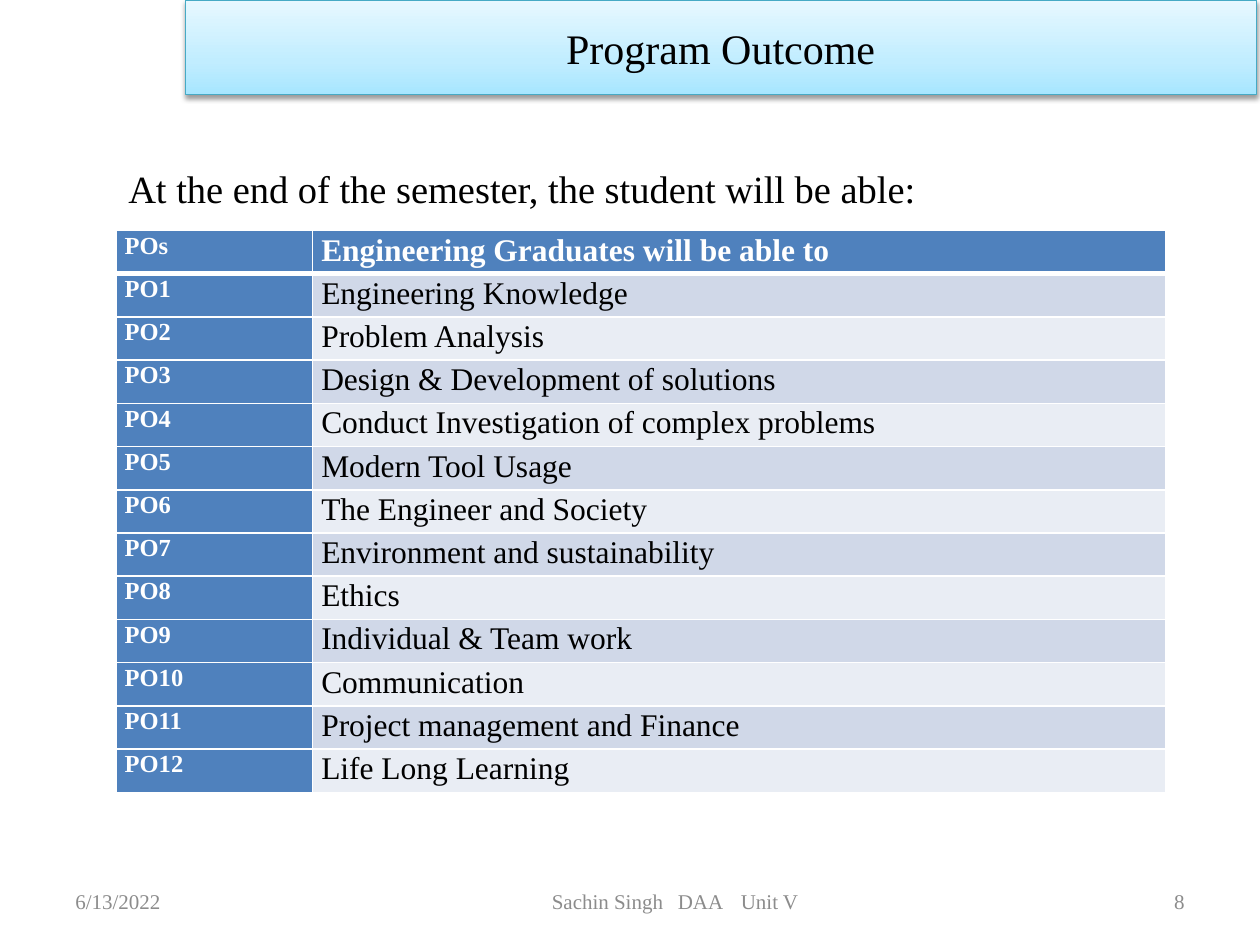
"""Build the Program Outcome slide with its table of graduate outcomes."""
from lxml import etree
from pptx import Presentation
from pptx import util as u
from pptx.dml.color import RGBColor
from pptx.enum import text
from pptx.oxml import parse_xml
from pptx.oxml.ns import nsdecls, qn

FONT = "Times New Roman"
COLORS = {
    "ink": "000000", "paper": "FFFFFF", "muted": "8C8C8C", "head": "4F81BD",
    "odd": "D0D8E8", "even": "E9EDF4", "edge": "46AAC5",
}
TITLE_STOPS = [(0, "A7E6FF"), (35, "C1EDFF"), (100, "E7F8FF")]
HEADINGS = ("POs", "Engineering Graduates will be able to")
OUTCOMES = [
    "Engineering Knowledge", "Problem Analysis", "Design & Development of solutions",
    "Conduct Investigation of complex problems", "Modern Tool Usage",
    "The Engineer and Society", "Environment and sustainability", "Ethics",
    "Individual & Team work", "Communication", "Project management and Finance",
    "Life Long Learning",
]
TABLE_WIDTHS = (1.56, 6.77)
TABLE_HEIGHT = 4.46
FOOTER_TOP, FOOTER_HEIGHT = 6.95, 0.4


def rgb(name):
    return RGBColor.from_string(COLORS[name])


def write(frame, words, size=12, color="ink", bold=False, align=None,
          spacing=None, after=None, tabs=()):
    para = frame.paragraphs[0]
    if tabs:
        props = para._p.get_or_add_pPr()
        props.set("marL", "0")
        props.set("indent", "0")
        stops = etree.SubElement(props, qn("a:tabLst"))
        for stop in tabs:
            etree.SubElement(stops, qn("a:tab"), pos=str(u.Inches(stop)), algn="l")
    if align is not None:
        para.alignment = align
    if spacing:
        para.line_spacing = spacing
    if after:
        para.space_after = u.Pt(after)
    span = para.add_run()
    span.text = words
    span.font.name = FONT
    span.font.size = u.Pt(size)
    span.font.bold = bold
    span.font.color.rgb = rgb(color)


def add_text(page, words, left, top, width, height,
             anchor=text.MSO_ANCHOR.TOP, inset=0.1, **style):
    box = page.shapes.add_textbox(*map(u.Inches, (left, top, width, height)))
    box.text_frame.word_wrap = True
    box.text_frame.vertical_anchor = anchor
    box.text_frame.margin_left = u.Inches(inset)
    write(box.text_frame, words, **style)


def format_title(title, words):
    title.left, title.top, title.width, title.height = map(u.Inches, (1.47, 0, 8.5, 0.75))
    stops = "".join(f'<a:gs pos="{share * 1000}"><a:srgbClr val="{color}"/></a:gs>'
                    for share, color in TITLE_STOPS)
    props = title._element.spPr
    props.append(parse_xml(
        f'<a:gradFill {nsdecls("a")} rotWithShape="1"><a:gsLst>{stops}</a:gsLst>'
        '<a:lin ang="16200000" scaled="0"/></a:gradFill>'))
    title.line.color.rgb = rgb("edge")
    title.line.width = u.Pt(0.75)
    props.append(parse_xml(
        f'<a:effectLst {nsdecls("a")}><a:outerShdw blurRad="{u.Pt(3.1)}" '
        f'dist="{u.Pt(1.6)}" dir="5400000" rotWithShape="0"><a:srgbClr val="000000">'
        '<a:alpha val="38000"/></a:srgbClr></a:outerShdw></a:effectLst>'))
    title.text_frame.vertical_anchor = text.MSO_ANCHOR.MIDDLE
    write(title.text_frame, words, size=24, align=text.PP_ALIGN.CENTER)


def set_borders(cell, **widths):
    props = cell._tc.get_or_add_tcPr()
    for side in "LRTB":
        props.append(parse_xml(
            f'<a:ln{side} {nsdecls("a")} w="{u.Pt(widths.get(side, 1))}"><a:solidFill>'
            f'<a:srgbClr val="{COLORS["paper"]}"/></a:solidFill></a:ln{side}>'))


def add_outcomes(page, left, top):
    rows = [HEADINGS] + [(f"PO{n}", words) for n, words in enumerate(OUTCOMES, 1)]
    table = page.shapes.add_table(
        len(rows), len(TABLE_WIDTHS), u.Inches(left), u.Inches(top),
        u.Inches(sum(TABLE_WIDTHS)), u.Inches(TABLE_HEIGHT)).table
    for column, width in zip(table.columns, TABLE_WIDTHS):
        column.width = u.Inches(width)
    for r, row in enumerate(rows):
        table.rows[r].height = u.Inches(TABLE_HEIGHT / len(rows))
        for c, words in enumerate(row):
            cell = table.cell(r, c)
            heading = r == 0 or c == 0
            cell.margin_left = cell.margin_right = u.Inches(0.07)
            cell.margin_top = cell.margin_bottom = 0
            borders = {0: {"B": 3}, 1: {"T": 3}}.get(r, {})
            set_borders(cell, **borders)
            cell.fill.solid()
            cell.fill.fore_color.rgb = rgb("head" if heading else "odd" if r % 2 else "even")
            write(cell.text_frame, words, size=18 if c else 14, bold=heading,
                  color="paper" if heading else "ink", spacing=1.07)


def add_footer(page, words, left, width, **style):
    add_text(page, words, left, FOOTER_TOP, width, FOOTER_HEIGHT,
             anchor=text.MSO_ANCHOR.MIDDLE, color="muted", **style)


def main():
    deck = Presentation()
    deck.slide_width, deck.slide_height = u.Inches(10), u.Inches(7.5)
    page = deck.slides.add_slide(deck.slide_layouts[5])
    add_footer(page, "6/13/2022", 0.5, 2.33)
    add_footer(page, "Sachin Singh\tDAA\tUnit V", 2.75, 5.5, inset=1.63, tabs=(1.05, 1.78))
    add_footer(page, "8", 7.17, 2.33, align=text.PP_ALIGN.RIGHT)
    format_title(page.shapes.title, "Program Outcome")
    add_text(page, "At the end of the semester, the student will be able:",
             0.92, 1.21, 8.5, 0.5, size=22, spacing=1.15, after=10)
    add_outcomes(page, 0.92, 1.83)
    deck.save("out.pptx")


if __name__ == "__main__":
    main()
